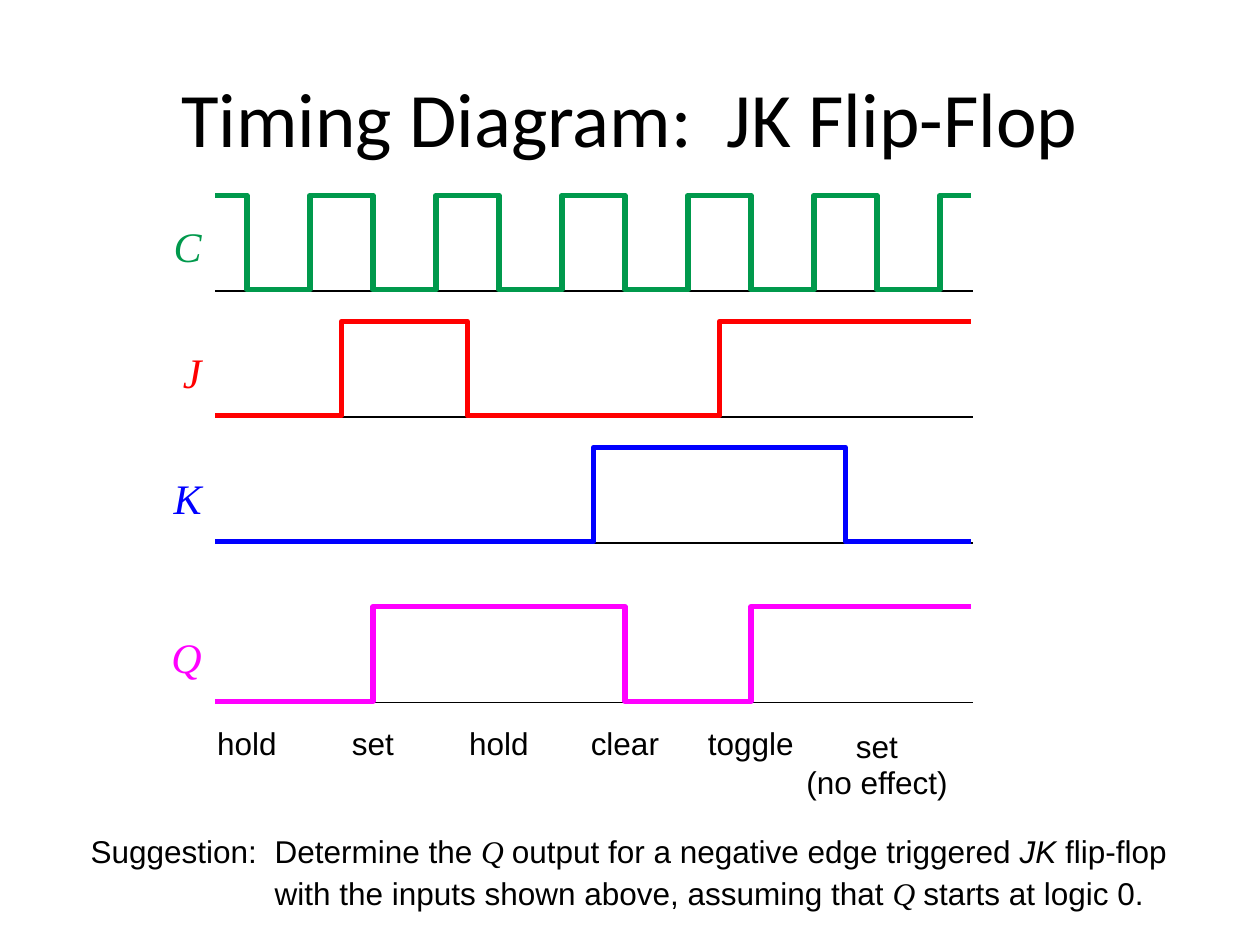
"""Build a timing diagram slide for a negative edge triggered JK flip-flop."""
from dataclasses import dataclass

from lxml.etree import SubElement
from pptx import Presentation
from pptx.dml.color import RGBColor
from pptx.enum.text import MSO_ANCHOR, PP_ALIGN
from pptx.oxml.ns import qn
from pptx.util import Inches, Pt


@dataclass(frozen=True)
class Theme:
    """Colours, fonts and sizes of the slide."""
    ink: str = "000000"
    green: str = "00994C"
    red: str = "FF0000"
    blue: str = "0000FF"
    pink: str = "FF00FF"
    head: str = "Calibri"
    body: str = "Arial"
    math: str = "Times New Roman"
    big: int = 44
    mid: int = 24
    small: int = 18
    thick: int = 3
    thin: int = 1


@dataclass(frozen=True)
class Grid:
    """Square grid that carries the signals, in inches."""
    left: float = 1.71
    top: float = 1.55
    step: float = 0.25
    cols: int = 24
    rise: int = 3

    def x(self, col: float) -> int:
        """Return the place of a column."""
        return Inches(self.left + col * self.step)

    def y(self, row: float) -> int:
        """Return the place of a row."""
        return Inches(self.top + row * self.step)


@dataclass(frozen=True)
class Wave:
    """Signal with its top row, first level and the columns where it flips."""
    name: str
    color: str
    row: float
    high: bool
    flips: tuple


@dataclass(frozen=True)
class Note:
    """Caption below a falling clock edge."""
    text: str
    col: int
    row: float = 16.8
    wide: float = 3.2


THEME = Theme()
GRID = Grid()
WAVES = (
    Wave("C", THEME.green, 0, True, tuple(range(1, GRID.cols, 2))),
    Wave("J", THEME.red, 4, False, (4, 8, 16)),
    Wave("K", THEME.blue, 8, False, (12, 20)),
    Wave("Q", THEME.pink, 13.06, False, (5, 13, 17)),
)
NOTES = (
    Note("hold", 1), Note("set", 5), Note("hold", 9), Note("clear", 13),
    Note("toggle", 17), Note("set\n(no effect)", 21, 16.9, 4.6),
)
TASK = (
    ("Suggestion:\tDetermine the ", THEME.body, False),
    ("Q ", THEME.math, True),
    ("output for a negative edge triggered ", THEME.body, False),
    ("JK ", THEME.body, True),
    ("flip-flop with the inputs shown above, assuming that ", THEME.body, False),
    ("Q ", THEME.math, True),
    ("starts at logic 0.", THEME.body, False),
)


def style(font, face: str, size: int, color: str, slant: bool = False) -> None:
    """Set the look of a font."""
    font.name, font.size, font.italic = face, Pt(size), slant
    font.color.rgb = RGBColor.from_string(color)


def add_box(slide, left: int, top: int, width: int, height: int):
    """Add a text box without margins and return its frame."""
    frame = slide.shapes.add_textbox(left, top, width, height).text_frame
    frame.margin_left = frame.margin_right = 0
    frame.margin_top = frame.margin_bottom = 0
    frame.word_wrap = True
    return frame


def draw_base(slide, wave: Wave) -> None:
    """Draw the thin zero line of a signal."""
    low = GRID.y(wave.row + GRID.rise + 0.04)
    line = slide.shapes.add_connector(1, GRID.x(0), low, GRID.x(GRID.cols + 0.06), low)
    line.line.color.rgb = RGBColor.from_string(THEME.ink)
    line.line.width = Pt(THEME.thin)
    SubElement(line._element.spPr, qn("a:effectLst"))


def draw_wave(slide, wave: Wave) -> None:
    """Draw a signal as one stepped outline."""
    levels = (GRID.y(wave.row + GRID.rise), GRID.y(wave.row))
    high = wave.high
    points = []
    for col in wave.flips:
        points.append((GRID.x(col), levels[high]))
        high = not high
        points.append((GRID.x(col), levels[high]))
    points.append((GRID.x(GRID.cols), levels[high]))
    path = slide.shapes.build_freeform(GRID.x(0), levels[wave.high])
    path.add_line_segments(points, close=False)
    shape = path.convert_to_shape()
    shape.shadow.inherit = False
    shape.fill.background()
    shape.line.color.rgb = RGBColor.from_string(wave.color)
    shape.line.width = Pt(THEME.thick)


def draw_name(slide, wave: Wave) -> None:
    """Write the letter left of a signal."""
    frame = add_box(slide, GRID.x(-2), GRID.y(wave.row + 0.8),
                    Inches(1.56 * GRID.step), Inches(1.5 * GRID.step))
    frame.text = wave.name
    para = frame.paragraphs[0]
    para.alignment = PP_ALIGN.RIGHT
    style(para.runs[0].font, THEME.math, THEME.mid, wave.color, True)


def draw_note(slide, note: Note) -> None:
    """Write a caption centred on its clock edge."""
    lines = note.text.count("\n") + 1
    frame = add_box(slide, GRID.x(note.col - note.wide / 2), GRID.y(note.row),
                    Inches(note.wide * GRID.step), Inches(0.3 * lines))
    frame.text = note.text
    for para in frame.paragraphs:
        para.alignment = PP_ALIGN.CENTER
        style(para.runs[0].font, THEME.body, THEME.small, THEME.ink)
        if lines > 1:
            para.line_spacing = Pt(21)


def draw_task(slide, wide: int, high: int) -> None:
    """Write the suggestion with a hanging indent."""
    frame = add_box(slide, int(wide * 0.072), int(high * 0.876),
                    int(wide * 0.87), int(high * 0.09))
    para = frame.paragraphs[0]
    para.line_spacing = 1.11
    props = para._p.get_or_add_pPr()
    props.set("marL", str(Inches(1.46)))
    props.set("indent", str(-Inches(1.46)))
    for text, face, slant in TASK:
        run = para.add_run()
        run.text = text
        style(run.font, face, THEME.small, THEME.ink, slant)


def draw_title(slide, wide: int, high: int) -> None:
    """Place and format the title."""
    title = slide.shapes.title
    title.left, title.top = int(wide * 0.05), int(high * 0.04)
    title.width, title.height = int(wide * 0.9), int(high / 6)
    frame = title.text_frame
    frame.text = "Timing Diagram:  JK Flip-Flop"
    frame.vertical_anchor = MSO_ANCHOR.MIDDLE
    para = frame.paragraphs[0]
    para.alignment = PP_ALIGN.CENTER
    style(para.runs[0].font, THEME.head, THEME.big, THEME.ink)


def main() -> None:
    """Build and save the slide."""
    deck = Presentation()
    deck.slide_width, deck.slide_height = Inches(10), Inches(7.5)
    slide = deck.slides.add_slide(deck.slide_layouts[5])
    draw_title(slide, deck.slide_width, deck.slide_height)
    for wave in WAVES:
        draw_base(slide, wave)
        draw_wave(slide, wave)
        draw_name(slide, wave)
    for note in NOTES:
        draw_note(slide, note)
    draw_task(slide, deck.slide_width, deck.slide_height)
    deck.save("out.pptx")


if __name__ == "__main__":
    main()
